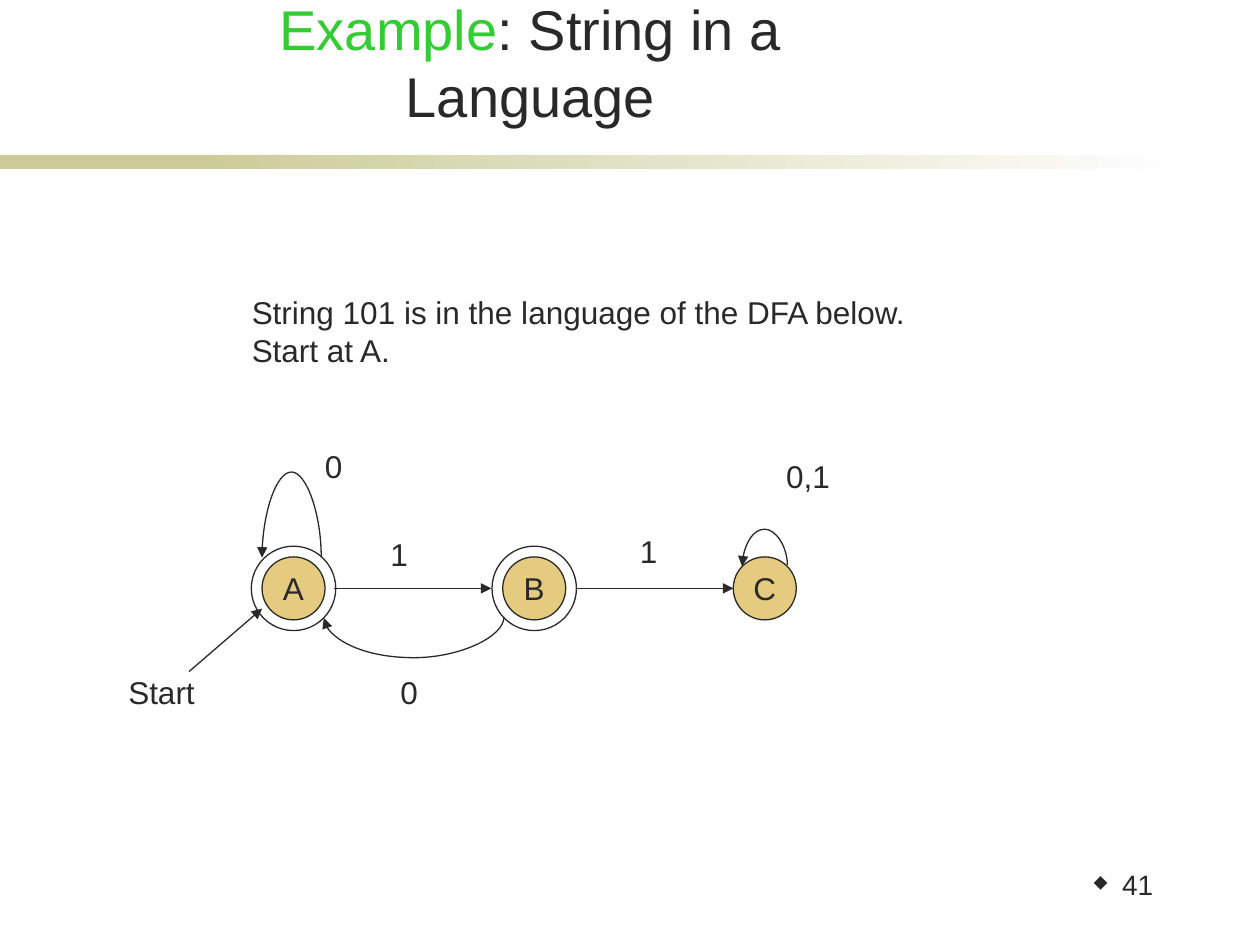
from dataclasses import dataclass
from typing import Any

from lxml.etree import SubElement
from pptx import Presentation
from pptx.dml.color import RGBColor
from pptx.enum.shapes import MSO_CONNECTOR, MSO_SHAPE
from pptx.enum.text import MSO_ANCHOR, MSO_AUTO_SIZE, PP_ALIGN
from pptx.oxml.ns import qn
from pptx.util import Inches, Pt

INK, GREEN, SAND, GOLD = "292929", "33CC33", "CCCC99", "CC9900"
MID = 4.67
NODE, RING = 0.5, 0.67
THIN = 0.01


@dataclass
class State:
    name: str
    x: float
    final: bool


@dataclass
class Label:
    text: str
    x: float
    y: float
    wide: float = 0.38
    high: float = 0.5


@dataclass
class Loop:
    start: float
    end: float
    y: float
    bend: float


STATES = [State("A", 2.33, True), State("B", 4.24, True), State("C", 6.07, False)]
LINES = [(1.5, 5.33, 2.08, 4.83), (2.65, MID, 3.9, MID), (4.57, MID, 5.82, MID)]
LOOPS = [
    Loop(2.55, 2.08, 4.42, -0.68),
    Loop(6.25, 5.89, 4.49, -0.29),
    Loop(4.0, 2.57, 4.9, 0.33),
]
LABELS = [
    Label("Start", 0.92, 5.29, 0.9),
    Label("1", 3.0, 4.2),
    Label("0", 3.08, 5.29),
    Label("1", 4.98, 4.17),
    Label("0", 2.48, 3.5),
    Label("0,1", 6.14, 3.58, 0.67),
]


def tint(code: str) -> RGBColor:
    return RGBColor.from_string(code)


def write(par: Any, text: str, *, size: float = 18, color: str = INK,
          align: Any = PP_ALIGN.LEFT, before: float = 0) -> None:
    run = par.add_run()
    run.text = text
    run.font.size = Pt(size)
    run.font.name = "Arial"
    run.font.color.rgb = tint(color)
    par.alignment = align
    par.space_before = Pt(before)


def add_box(slide: Any, x: float, y: float, wide: float, high: float,
            wrap: bool = False) -> Any:
    box = slide.shapes.add_textbox(Inches(x), Inches(y), Inches(wide), Inches(high))
    box.text_frame.word_wrap = wrap
    return box.text_frame


def add_bar(slide: Any, x: float, wide: float, fade: bool) -> None:
    bar = slide.shapes.add_shape(
        MSO_SHAPE.RECTANGLE, Inches(x), Inches(1.23), Inches(wide), Inches(0.11))
    bar.shadow.inherit = False
    bar.line.fill.background()
    if fade:
        bar.fill.gradient()
        bar.fill.gradient_angle = 0
        for stop, code in zip(bar.fill.gradient_stops, (SAND, "FFFFFF")):
            stop.color.rgb = tint(code)
    else:
        bar.fill.solid()
        bar.fill.fore_color.rgb = tint(SAND)


def add_disc(slide: Any, x: float, size: float) -> Any:
    disc = slide.shapes.add_shape(
        MSO_SHAPE.OVAL, Inches(x - size / 2), Inches(MID - size / 2),
        Inches(size), Inches(size))
    disc.shadow.inherit = False
    disc.fill.background()
    disc.line.color.rgb = tint(INK)
    disc.line.width = Pt(0.75)
    return disc


def add_state(slide: Any, state: State) -> None:
    disc = add_disc(slide, state.x, NODE)
    disc.fill.solid()
    disc.fill.fore_color.rgb = tint(GOLD)
    color = disc.fill._xPr.find(qn("a:solidFill"))[0]
    SubElement(color, qn("a:alpha"), val="50000")
    frame = disc.text_frame
    frame.word_wrap = False
    frame.vertical_anchor = MSO_ANCHOR.MIDDLE
    write(frame.paragraphs[0], state.name, align=PP_ALIGN.CENTER)
    if state.final:
        add_disc(slide, state.x, RING)


def add_arrow(slide: Any, kind: Any, *ends: float) -> Any:
    arrow = slide.shapes.add_connector(kind, *map(Inches, ends))
    arrow.line.color.rgb = tint(INK)
    arrow.line.width = Pt(0.75)
    SubElement(arrow.line._get_or_add_ln(), qn("a:tailEnd"), type="triangle")
    SubElement(arrow._element.spPr, qn("a:effectLst"))
    return arrow


def add_loop(slide: Any, loop: Loop) -> None:
    x, half = (loop.start + loop.end) / 2, (loop.start - loop.end) / 2
    ends = (x - THIN / 2, loop.y - half, x + THIN / 2, loop.y + half)
    up = loop.bend < 0
    if up:
        ends = ends[2:] + ends[:2]
    arrow = add_arrow(slide, MSO_CONNECTOR.CURVE, *ends)
    props = arrow._element.spPr
    props.find(qn("a:xfrm")).set("rot", str((270 if up else 90) * 60000))
    shape = props.find(qn("a:prstGeom"))
    guides = shape.find(qn("a:avLst"))
    if guides is None:
        guides = SubElement(shape, qn("a:avLst"))
    SubElement(guides, qn("a:gd"), name="adj1",
               fmla=f"val {round(loop.bend / THIN * 100000)}")


def add_title(slide: Any) -> None:
    title = slide.shapes.title
    title.left, title.top = Inches(1.14), Inches(0.44)
    title.width, title.height = Inches(6.14), Inches(0.63)
    frame = title.text_frame
    frame.word_wrap = True
    frame.auto_size = MSO_AUTO_SIZE.NONE
    frame.vertical_anchor = MSO_ANCHOR.BOTTOM
    for text, color in (("Example", GREEN), (": String in a Language", INK)):
        write(frame.paragraphs[0], text, size=32, color=color, align=PP_ALIGN.CENTER)


def add_page(slide: Any) -> None:
    par = add_box(slide, 8.23, 6.87, 1.02, 0.5, wrap=True).paragraphs[0]
    write(par, "41", size=16, align=PP_ALIGN.RIGHT, before=6)
    par.line_spacing = 0.9
    props = par._p.get_or_add_pPr()
    color = SubElement(props, qn("a:buClr"))
    SubElement(color, qn("a:srgbClr"), val=INK)
    SubElement(props, qn("a:buSzPct"), val="60000")
    SubElement(props, qn("a:buFont"), typeface="Wingdings", charset="2")
    SubElement(props, qn("a:buChar"), char="u")


def main() -> None:
    deck = Presentation()
    deck.slide_width, deck.slide_height = Inches(10), Inches(7.5)
    slide = deck.slides.add_slide(deck.slide_layouts[5])
    add_bar(slide, 0, 2.33, False)
    add_bar(slide, 1.58, 7.92, True)
    add_page(slide)
    add_title(slide)
    for state in STATES:
        add_state(slide, state)
    for ends in LINES:
        add_arrow(slide, MSO_CONNECTOR.STRAIGHT, *ends)
    for loop in LOOPS:
        add_loop(slide, loop)
    for label in LABELS:
        frame = add_box(slide, label.x, label.y, label.wide, label.high)
        write(frame.paragraphs[0], label.text)
    frame = add_box(slide, 1.9, 2.28, 7.17, 0.9)
    write(frame.paragraphs[0], "String 101 is in the language of the DFA below.")
    write(frame.add_paragraph(), "Start at A.")
    deck.save("out.pptx")


if __name__ == "__main__":
    main()
